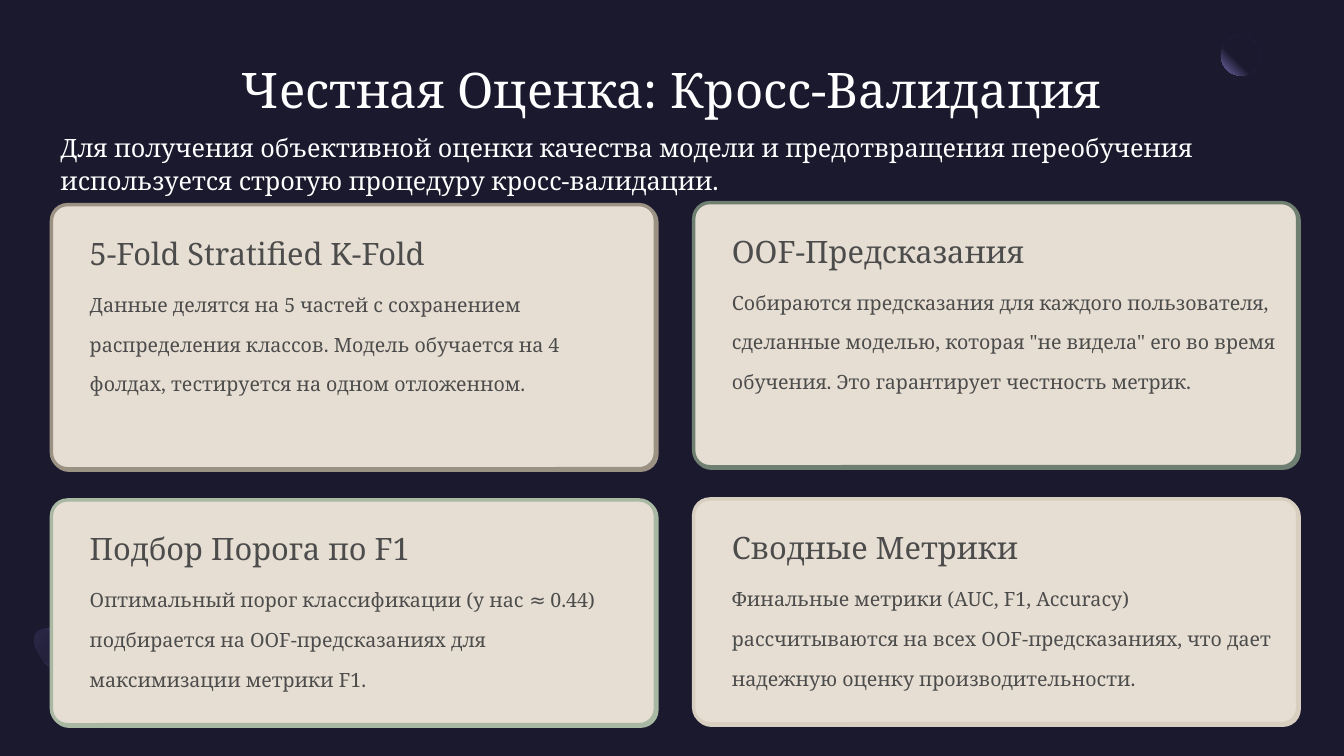
from lxml import etree
from pptx import Presentation
from pptx.dml.color import RGBColor
from pptx.enum.shapes import MSO_SHAPE
from pptx.enum.text import PP_ALIGN
from pptx.oxml import parse_xml
from pptx.oxml.ns import nsdecls, qn
from pptx.util import Inches, Pt

FONT = "Noto Serif"
NIGHT = RGBColor(0x1B, 0x19, 0x2E)
WHITE = RGBColor(0xFF, 0xFF, 0xFF)
INK = RGBColor(0x4C, 0x4C, 0x4C)
SAND = RGBColor(0xE6, 0xDE, 0xD2)
TAUPE = RGBColor(0x9C, 0x92, 0x83)
MOSS = RGBColor(0x6F, 0x7F, 0x71)
SAGE = RGBColor(0xA8, 0xB8, 0xA2)
BEIGE = RGBColor(0xD9, 0xCF, 0xC1)
LILAC = RGBColor(0x77, 0x71, 0xB2)
PLUM = RGBColor(0x2C, 0x28, 0x4A)
VIOLET = RGBColor(0x45, 0x40, 0x75)
DUSK = RGBColor(0x23, 0x21, 0x3C)

CARDS = [
    # left, top, height, accent, heading, body
    (0.51, 2.03, 2.62, TAUPE, "5-Fold Stratified K-Fold",
     "Данные делятся на 5 частей с сохранением распределения классов. "
     "Модель обучается на 4 фолдах, тестируется на одном отложенном."),
    (6.88, 2.01, 2.62, MOSS, "OOF-Предсказания",
     "Собираются предсказания для каждого пользователя, сделанные моделью, "
     "которая \"не видела\" его во время обучения. Это гарантирует честность метрик."),
    (0.51, 4.96, 2.23, SAGE, "Подбор Порога по F1",
     "Оптимальный порог классификации (у нас ≈ 0.44) подбирается "
     "на OOF-предсказаниях для максимизации метрики F1."),
    (6.88, 4.95, 2.23, BEIGE, "Сводные Метрики",
     "Финальные метрики (AUC, F1, Accuracy) рассчитываются на всех "
     "OOF-предсказаниях, что дает надежную оценку производительности."),
]
CONE = [(0.95, 6.1), (0.8, 6.66), (0.78, 6.69), (0.71, 6.72), (0.58, 6.68),
        (0.46, 6.59), (0.37, 6.46), (0.34, 6.34), (0.36, 6.27), (0.39, 6.25)]


def add_text(slide, text, x, y, w, h, size, color, spacing,
             align=PP_ALIGN.LEFT, after=0):
    tf = slide.shapes.add_textbox(Inches(x), Inches(y), Inches(w), Inches(h)).text_frame
    tf.margin_left = tf.margin_top = tf.margin_right = tf.margin_bottom = 0
    tf.word_wrap = True
    p = tf.paragraphs[0]
    p.alignment = align
    p.line_spacing = spacing
    p.space_after = Pt(after)
    r = p.add_run()
    r.text = text
    r.font.name = FONT
    r.font.size = Pt(size)
    r.font.color.rgb = color


def add_preset(slide, kind, x, y, w, h):
    sp = slide.shapes.add_shape(kind, Inches(x), Inches(y), Inches(w), Inches(h))
    sp.shadow.inherit = False
    return sp


def fill_gradient(sp, stops, angle=None):
    """Linear when an angle is given, otherwise circular from the top right."""
    gs = "".join(f'<a:gs pos="{pos * 1000}"><a:srgbClr val="{color}"/></a:gs>'
                 for pos, color in stops)
    if angle is None:
        way = '<a:path path="circle"><a:fillToRect l="100000" b="100000"/></a:path>'
    else:
        way = f'<a:lin ang="{angle * 60000}" scaled="0"/>'
    grad = parse_xml(f'<a:gradFill {nsdecls("a")} rotWithShape="1">'
                     f'<a:gsLst>{gs}</a:gsLst>{way}</a:gradFill>')
    sp.line.fill.background()
    sp._element.spPr.find(qn("a:ln")).addprevious(grad)


def add_hard_shadow(sp, color):
    effects = sp._element.spPr.find(qn("a:effectLst"))
    shadow = etree.SubElement(effects, qn("a:outerShdw"), blurRad="0",
                              dist=str(Pt(1.6)), dir="2700000", algn="tl",
                              rotWithShape="0")
    etree.SubElement(shadow, qn("a:srgbClr"), val=str(color))


def add_decor(slide):
    # Moon in the top right corner
    moon = add_preset(slide, MSO_SHAPE.OVAL, 12.11, 0.36, 0.39, 0.39)
    fill_gradient(moon, [(60, NIGHT), (100, LILAC)])

    # Cone and its round base behind the lower left card
    builder = slide.shapes.build_freeform(
        Inches(CONE[0][0]), Inches(CONE[0][1]), scale=1.0)
    builder.add_line_segments([(Inches(x), Inches(y)) for x, y in CONE[1:]])
    cone = builder.convert_to_shape()
    cone.shadow.inherit = False
    fill_gradient(cone, [(30, PLUM), (40, VIOLET), (60, PLUM), (100, NIGHT)], 55)
    base = add_preset(slide, MSO_SHAPE.OVAL, 0.42, 6.19, 0.3, 0.59)
    base.rotation = 135
    fill_gradient(base, [(50, DUSK), (100, PLUM)], 90)


def add_header(slide, x, y, w):
    add_text(slide, "Честная Оценка: Кросс-Валидация", x, y, w, 0.62,
             35, WHITE, Pt(44.5), align=PP_ALIGN.CENTER)
    add_text(slide, "Для получения объективной оценки качества модели и предотвращения "
             "переобучения используется строгую процедуру кросс-валидации.",
             x, y + 0.72, w, 0.72, 18, WHITE, 1.1, after=8)


def add_card(slide, x, y, h, accent, heading, body):
    card = add_preset(slide, MSO_SHAPE.ROUNDED_RECTANGLE, x, y, 5.99, h)
    card.adjustments[0] = 0.16 / h
    card.fill.solid()
    card.fill.fore_color.rgb = SAND
    card.line.color.rgb = accent
    card.line.width = Pt(2.4)
    add_hard_shadow(card, accent)
    add_text(slide, heading, x + 0.38, y + 0.28, 5.43, 0.38, 22, INK, Pt(27.5))
    add_text(slide, body, x + 0.38, y + 0.71, 5.43, 1.16, 14, INK, Pt(28.5))


def main():
    prs = Presentation()
    prs.slide_width, prs.slide_height = Inches(13.33), Inches(7.5)
    slide = prs.slides.add_slide(prs.slide_layouts[6])
    slide.background.fill.solid()
    slide.background.fill.fore_color.rgb = NIGHT
    add_decor(slide)
    add_header(slide, 0.6, 0.56, 12.13)
    for card in CARDS:
        add_card(slide, *card)
    prs.save("out.pptx")


if __name__ == "__main__":
    main()
